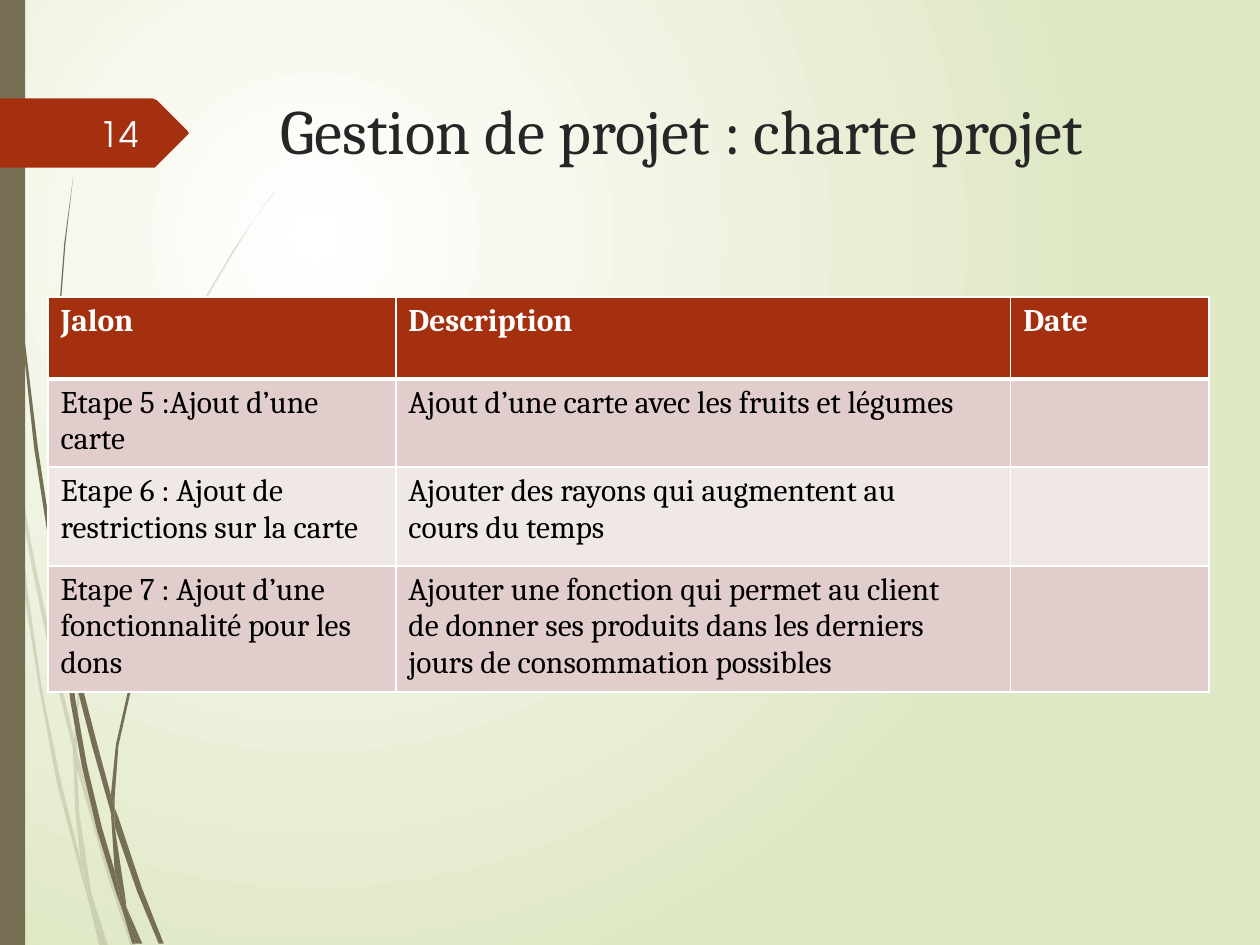
from lxml.etree import SubElement
from pptx import Presentation
from pptx.dml.color import RGBColor
from pptx.enum.shapes import MSO_SHAPE
from pptx.enum.text import MSO_ANCHOR, PP_ALIGN
from pptx.oxml.ns import qn
from pptx.util import Pt

COLORS = {
    "white": "FFFFFF", "meadow": "DFE8C4", "olive": "766F54", "rust": "A53010",
    "title": "262626", "number": "FEFFFF", "text": "000000",
    "band_dark": "E1CDCC", "band_light": "F0E8E7",
}
SERIF = "Cambria"
SANS = "TeX Gyre Adventor"

GRID = Pt(0.72)  # outline coordinates below count steps of this size

FAINT_BLADES = [
    [(8, 350), (6, 322), (0, 282), (0, 299), (7, 344)],
    [(40, 522), (59, 599), (59, 586), (43, 520), (25, 433), (10, 345), (12, 376), (25, 449)],
    [(64, 607), (61, 596), (61, 610), (85, 694), (104, 751), (108, 751), (88, 692)],
    [(83, 751), (86, 751), (73, 711)],
    [(64, 683), (48, 619), (33, 545), (22, 469), (12, 376), (8, 350), (12, 410), (19, 470),
     (31, 546), (45, 621), (64, 693), (70, 714), (69, 707)],
    [(58, 599), (60, 646), (64, 683), (67, 692), (73, 711), (72, 706), (63, 646), (61, 610),
     (61, 608)],
    [(61, 584), (65, 523), (76, 462), (92, 404), (111, 349), (134, 295), (159, 245), (187, 198),
     (201, 175), (217, 154), (217, 153), (201, 175), (186, 197), (158, 244), (133, 294),
     (110, 348), (91, 403), (75, 461), (64, 522), (59, 584), (59, 586), (61, 596)],
    [(70, 714), (79, 751), (82, 751)],
    [(61, 608), (61, 610), (61, 596), (59, 586), (58, 599)],
    [(67, 692), (65, 683), (69, 707), (70, 714), (82, 751), (83, 751), (73, 711)],
]
SOLID_BLADES = [
    [(5, 110), (14, 233), (27, 355), (46, 477), (47, 481), (45, 457), (45, 453), (30, 355),
     (15, 232), (6, 109), (4, 48), (3, 0), (2, 0), (3, 48)],
    [(73, 592), (88, 645), (88, 633), (88, 631), (77, 590), (62, 532), (50, 472), (53, 505),
     (62, 549)],
    [(94, 649), (91, 641), (91, 656), (109, 708), (126, 749), (130, 749), (113, 706)],
    [(91, 691), (81, 657), (69, 607), (60, 556), (53, 505), (47, 477), (56, 557), (65, 608),
     (77, 659), (92, 708), (97, 722), (96, 717)],
    [(50, 472), (48, 453), (44, 349), (48, 245), (52, 193), (58, 141), (51, 193), (47, 245),
     (43, 349), (45, 449), (49, 472)],
    [(110, 749), (113, 749), (100, 719)],
    [(47, 477), (53, 505), (50, 472), (49, 472), (45, 449), (45, 453)],
    [(91, 633), (94, 592), (103, 552), (116, 513), (131, 476), (149, 440), (169, 406),
     (191, 374), (203, 359), (216, 344), (215, 344), (203, 358), (191, 373), (168, 405),
     (148, 439), (129, 474), (114, 512), (101, 551), (92, 591), (88, 631), (91, 641)],
    [(97, 722), (105, 749), (108, 749)],
    [(88, 645), (91, 691), (96, 706), (100, 719), (100, 716), (91, 656), (90, 651)],
    [(88, 645), (90, 651), (91, 656), (91, 641), (88, 631), (88, 633)],
    [(96, 706), (91, 691), (96, 717), (97, 722), (108, 749), (110, 749), (100, 719)],
]
NUMBER_TAG = [(149, 107), (124, 132), (123, 133), (121, 133), (0, 133), (0, 78), (121, 78),
              (123, 79), (124, 79), (149, 104), (150, 105.5)]

# A vertical tab is a line break inside a cell.
MILESTONES = [
    ("Jalon", "Description", "Date"),
    ("Etape 5 :Ajout d’une carte", "Ajout d’une carte avec les fruits et légumes", ""),
    ("Etape 6 : Ajout de restrictions sur la carte",
     "Ajouter des rayons qui augmentent au\vcours du temps", ""),
    ("Etape 7 : Ajout d’une fonctionnalité pour les dons",
     "Ajouter une fonction qui permet au client\vde donner ses produits dans les derniers\v"
     "jours de consommation possibles", ""),
]
COLUMN_WIDTHS = [198.7, 351.4, 113.4]
ROW_HEIGHTS = [46.8, 50, 56.4, 72]
ROW_FILLS = ["rust", "band_dark", "band_light", "band_dark"]


def rgb(name):
    return RGBColor.from_string(COLORS[name])


def paint_background(page):
    """Radial gradient from a white spot in the upper left."""
    fill = page.background.fill
    fill.gradient()
    for stop, name in zip(fill.gradient_stops, ("white", "meadow")):
        stop.color.rgb = rgb(name)
    gradient = next(page.element.iter(qn("a:gradFill")))
    gradient.remove(gradient.find(qn("a:lin")))
    circle = SubElement(gradient, qn("a:path"), path="circle")
    SubElement(circle, qn("a:fillToRect"), l="50000", t="50000", r="100000", b="100000")


def paint_shape(shape, color):
    shape.shadow.inherit = False
    shape.fill.solid()
    shape.fill.fore_color.rgb = rgb(color)
    shape.line.fill.background()


def add_outline(page, points, color, opacity=100):
    builder = page.shapes.build_freeform(*points[0], scale=GRID)
    builder.add_line_segments(points[1:], close=True)
    shape = builder.convert_to_shape()
    paint_shape(shape, color)
    if opacity < 100:
        tint = next(shape.element.spPr.iter(qn("a:srgbClr")))
        SubElement(tint, qn("a:alpha"), val=str(opacity * 1000))


def format_text(frame, font, size, color, bold=False):
    for para in frame.paragraphs:
        for span in para.runs:
            span.font.name = font
            span.font.size = Pt(size)
            span.font.bold = bold
            span.font.color.rgb = rgb(color)


def add_text(page, text, left, top, width, height, font, size, color):
    box = page.shapes.add_textbox(Pt(left), Pt(top), Pt(width), Pt(height))
    frame = box.text_frame
    frame.word_wrap = True
    frame.text = text
    format_text(frame, font, size, color)
    return frame


def add_border(cell, side, width):
    line = SubElement(cell._tc.get_or_add_tcPr(), qn(f"a:ln{side}"), w=str(Pt(width)))
    SubElement(SubElement(line, qn("a:solidFill")), qn("a:srgbClr"), val=COLORS["white"])


def fill_cell(cell, text, row):
    is_header = row == 0
    widths = {"L": 1, "R": 1, "T": 3 if row == 1 else 1, "B": 3 if is_header else 1}
    for side, width in widths.items():
        add_border(cell, side, width)
    cell.fill.solid()
    cell.fill.fore_color.rgb = rgb(ROW_FILLS[row])
    cell.text_frame.text = text
    format_text(cell.text_frame, SERIF, 18, "white" if is_header else "text", is_header)


def add_milestone_table(page):
    frame = page.shapes.add_table(
        len(ROW_HEIGHTS), len(COLUMN_WIDTHS), Pt(27.5), Pt(169.7),
        Pt(sum(COLUMN_WIDTHS)), Pt(sum(ROW_HEIGHTS)))
    table = frame.table
    for column, width in zip(table.columns, COLUMN_WIDTHS):
        column.width = Pt(width)
    for row, height in enumerate(ROW_HEIGHTS):
        table.rows[row].height = Pt(height)
        for column, text in enumerate(MILESTONES[row]):
            fill_cell(table.cell(row, column), text, row)


def main():
    deck = Presentation()
    deck.slide_width, deck.slide_height = Pt(720), Pt(540)
    page = deck.slides.add_slide(deck.slide_layouts[6])
    paint_background(page)
    for blade in FAINT_BLADES:
        add_outline(page, blade, "olive", opacity=20)
    for blade in SOLID_BLADES:
        add_outline(page, blade, "olive")
    side_bar = page.shapes.add_shape(MSO_SHAPE.RECTANGLE, 0, 0, Pt(14.4), Pt(540))
    paint_shape(side_bar, "olive")
    add_outline(page, NUMBER_TAG, "rust")
    add_text(page, "Gestion de projet : charte projet",
             153.4, 49, 519, 100.8, SERIF, 36, "title")
    number = add_text(page, "14", 40.3, 62, 46, 28.8, SANS, 20, "number")
    number.vertical_anchor = MSO_ANCHOR.MIDDLE
    number.paragraphs[0].alignment = PP_ALIGN.RIGHT
    add_milestone_table(page)
    deck.save("out.pptx")


if __name__ == "__main__":
    main()
